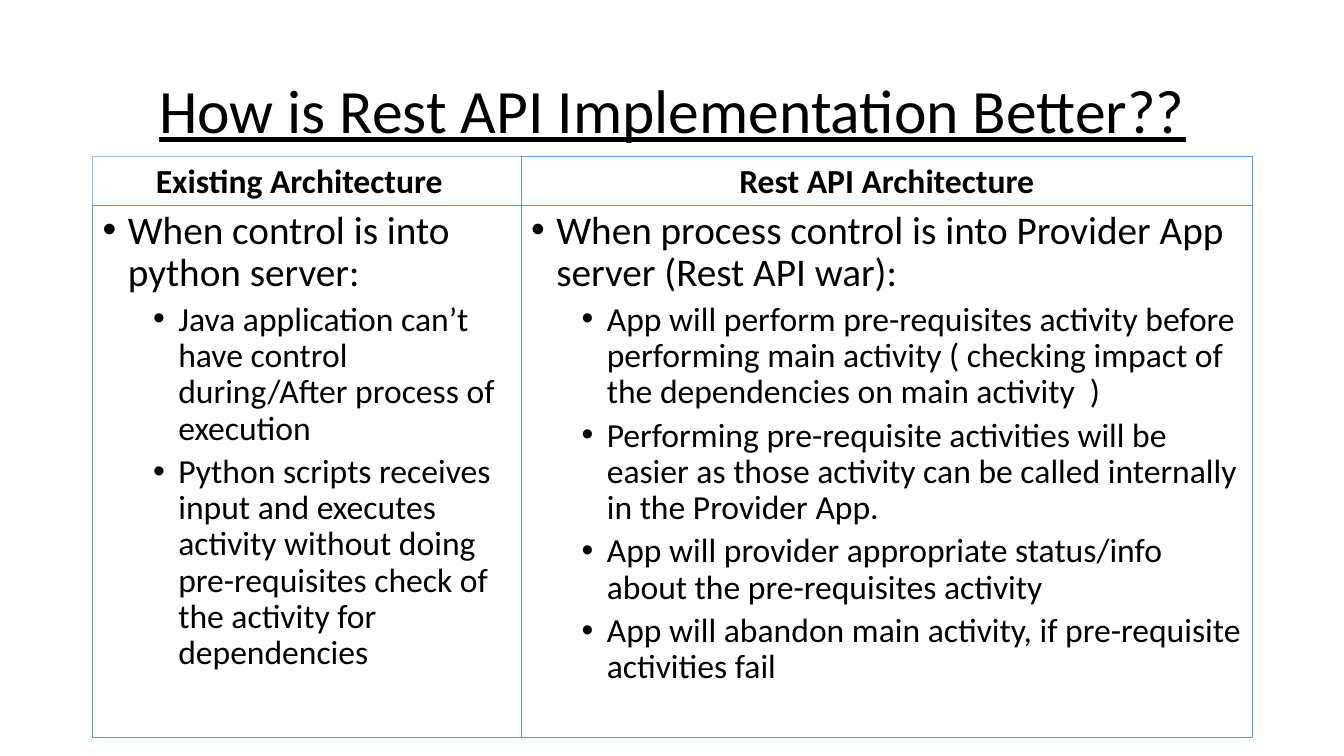
from lxml.etree import SubElement
from pptx import Presentation
from pptx.dml.color import RGBColor
from pptx.enum.shapes import MSO_SHAPE
from pptx.enum.text import MSO_ANCHOR, PP_ALIGN
from pptx.oxml.ns import qn
from pptx.util import Inches, Pt

BLACK = RGBColor(0x00, 0x00, 0x00)
BLUE = RGBColor(0x5B, 0x9B, 0xD5)
LIGHT_BLUE = RGBColor(0x9D, 0xC3, 0xE6)

LEFT, TOP = 0.92, 1.55
HEADING_HEIGHT, BODY_HEIGHT = 0.49, 5.28
COLUMNS = [
    {
        "width": 4.25,
        "heading": "Existing Architecture\t",
        "heading_line": LIGHT_BLUE,
        "lead": "When control is into python server:",
        "points": [
            "Java application can’t have control during/After process of execution",
            "Python scripts receives input and executes activity without doing "
            "pre-requisites check of the activity for dependencies",
        ],
    },
    {
        "width": 7.25,
        "heading": "Rest API Architecture",
        "heading_line": BLUE,
        "lead": "When process control is into Provider App server (Rest API war):",
        "points": [
            "App will perform pre-requisites activity before performing main activity "
            "( checking impact of the dependencies on main activity  )",
            "Performing pre-requisite activities will be easier as those activity "
            "can be called internally in the Provider App.",
            "App will provider appropriate status/info about the pre-requisites activity",
            "App will abandon main activity, if pre-requisite activities fail",
        ],
    },
]


def write_text(paragraph, text, size, bold=False, underline=False,
               align=PP_ALIGN.LEFT, space_before=0, font="Calibri", color=BLACK):
    paragraph.alignment = align
    paragraph.line_spacing = 0.9
    paragraph.space_before = Pt(space_before)
    run = paragraph.add_run()
    run.text = text
    run.font.name = font
    run.font.size = Pt(size)
    run.font.bold = bold
    run.font.underline = underline
    run.font.color.rgb = color


def add_bullet(paragraph, indent):
    """Give the paragraph a hanging bullet; its spacing must be set before."""
    properties = paragraph._p.get_or_add_pPr()
    properties.set("marL", str(Inches(indent)))
    properties.set("indent", str(Inches(-0.25)))
    SubElement(properties, qn("a:buFont"), typeface="Arial")
    SubElement(properties, qn("a:buChar"), char="•")


class ComparisonSlide:
    def __init__(self, presentation):
        self.slide = presentation.slides.add_slide(presentation.slide_layouts[6])

    def title(self, text, left, top, width, height):
        box = self.slide.shapes.add_textbox(
            Inches(left), Inches(top), Inches(width), Inches(height))
        box.text_frame.word_wrap = True
        box.text_frame.vertical_anchor = MSO_ANCHOR.MIDDLE
        write_text(box.text_frame.paragraphs[0], text, 44, underline=True,
                   align=PP_ALIGN.CENTER)

    def panel(self, left, top, width, height, line, anchor):
        """Add an outlined rectangle and return its text frame."""
        shape = self.slide.shapes.add_shape(
            MSO_SHAPE.RECTANGLE,
            Inches(left), Inches(top), Inches(width), Inches(height))
        shape.shadow.inherit = False
        shape.fill.background()
        shape.line.color.rgb = line
        shape.line.width = Pt(0.75)
        shape.text_frame.word_wrap = True
        shape.text_frame.vertical_anchor = anchor
        return shape.text_frame

    def heading(self, text, left, top, width, height, line):
        frame = self.panel(left, top, width, height, line, MSO_ANCHOR.BOTTOM)
        write_text(frame.paragraphs[0], text, 24, bold=True,
                   align=PP_ALIGN.CENTER, space_before=10)

    def bullets(self, lead, points, left, top, width, height):
        frame = self.panel(left, top, width, height, BLUE, MSO_ANCHOR.TOP)
        write_text(frame.paragraphs[0], lead, 28, space_before=10)
        add_bullet(frame.paragraphs[0], 0.25)
        for point in points:
            paragraph = frame.add_paragraph()
            paragraph.level = 1
            write_text(paragraph, point, 24, space_before=5)
            add_bullet(paragraph, 0.75)


def main():
    presentation = Presentation()
    presentation.slide_width = Inches(13.33)
    presentation.slide_height = Inches(7.5)
    comparison = ComparisonSlide(presentation)
    comparison.title("How is Rest API Implementation Better??", LEFT, 0.4, 11.5, 1.45)
    left = LEFT
    for column in COLUMNS:
        width = column["width"]
        comparison.heading(column["heading"], left, TOP, width, HEADING_HEIGHT,
                           column["heading_line"])
        comparison.bullets(column["lead"], column["points"], left,
                           TOP + HEADING_HEIGHT, width, BODY_HEIGHT)
        left += width
    presentation.save("out.pptx")


if __name__ == "__main__":
    main()
